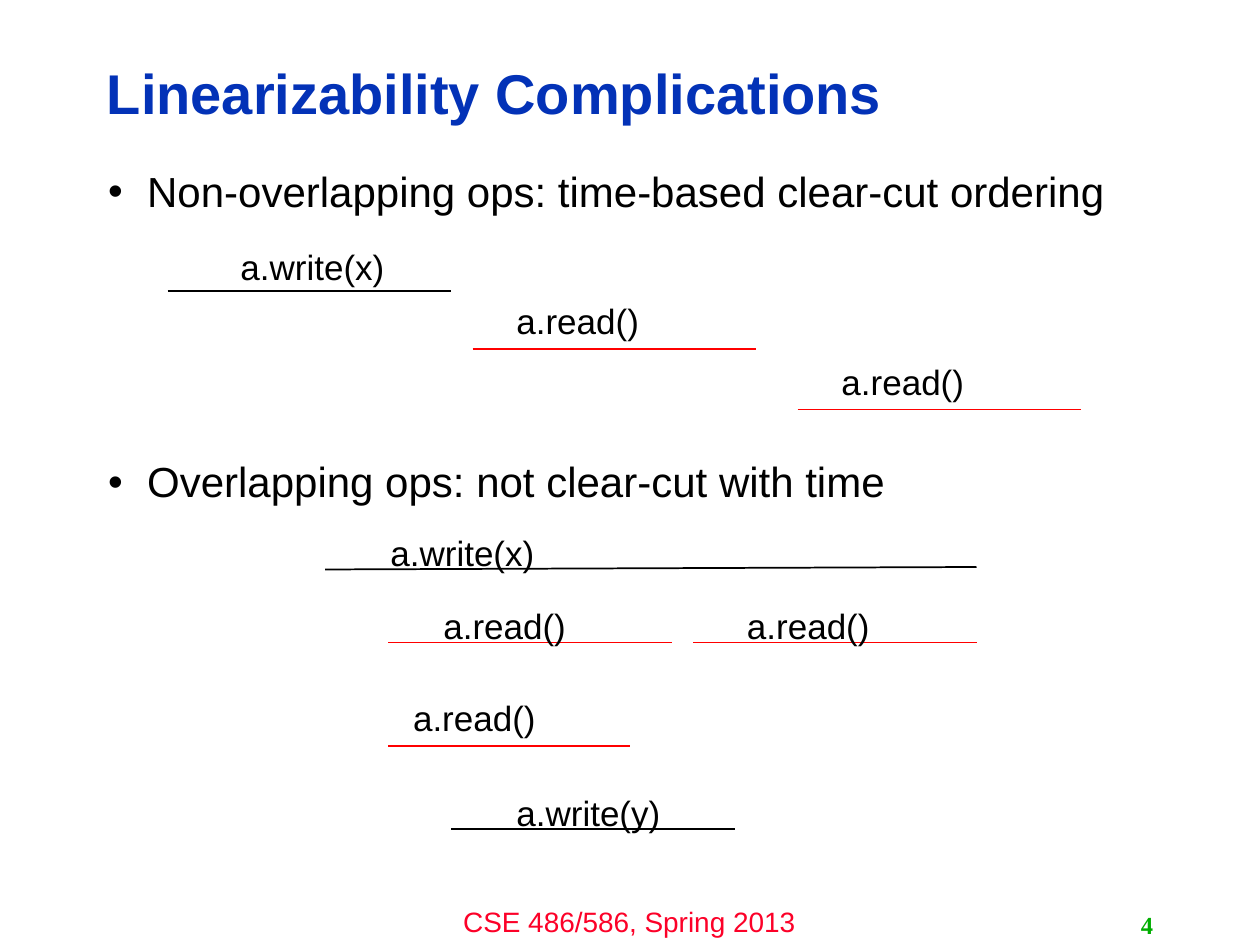
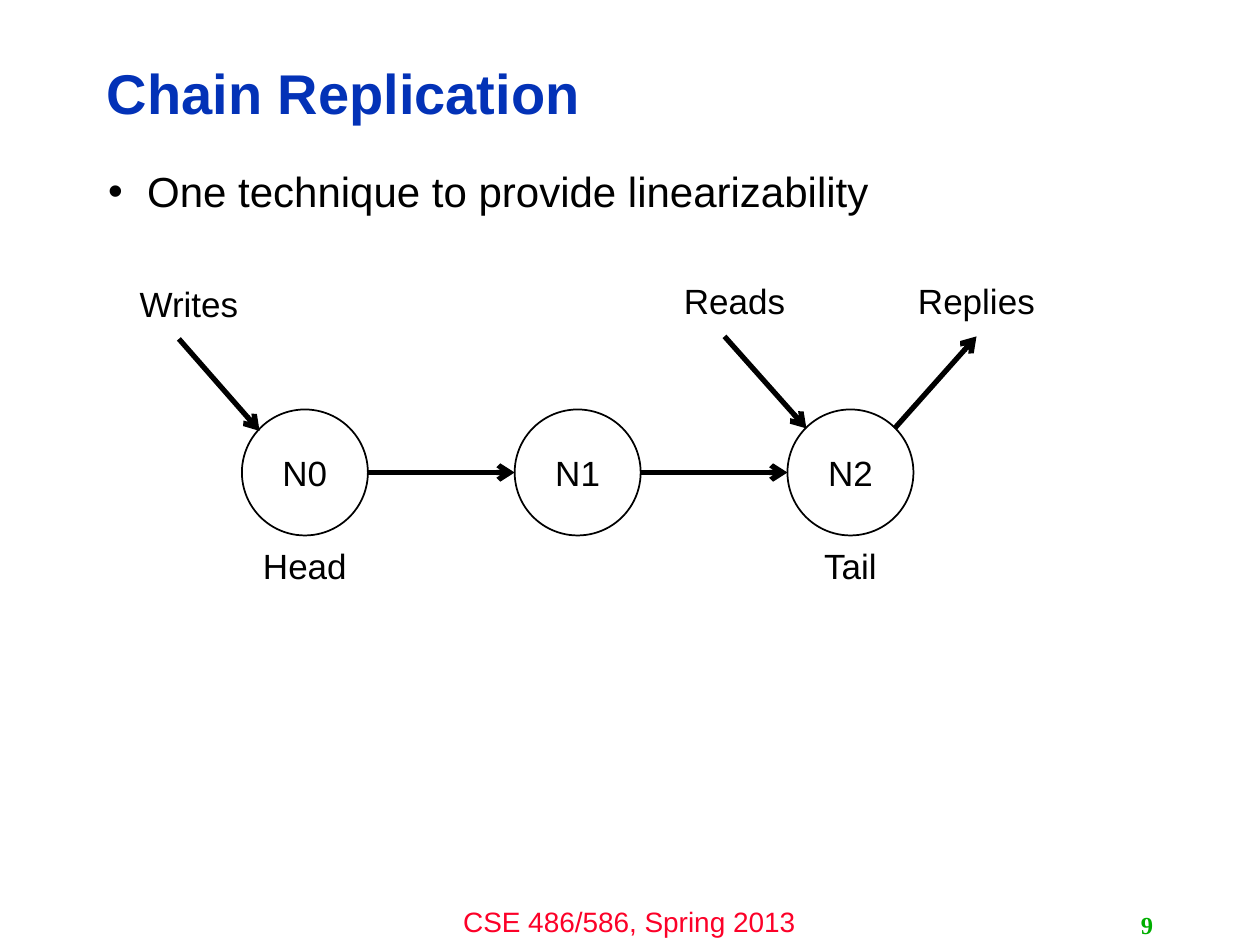
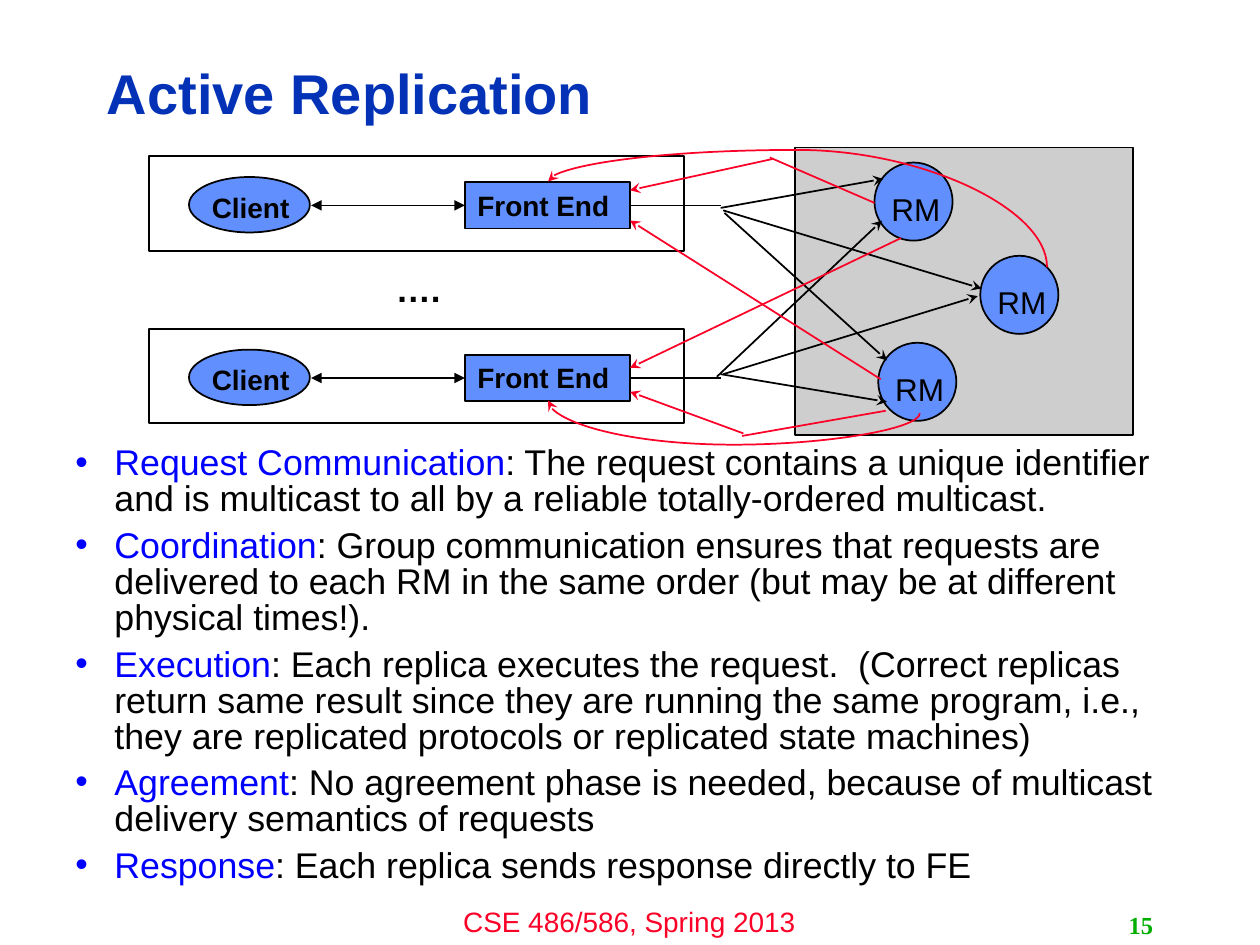
from lxml import etree
from pptx import Presentation
from pptx.dml.color import RGBColor
from pptx.enum.shapes import MSO_CONNECTOR, MSO_SHAPE
from pptx.enum.text import MSO_ANCHOR, PP_ALIGN
from pptx.oxml.ns import qn
from pptx.util import Inches, Pt

STRAIGHT, CURVE = MSO_CONNECTOR.STRAIGHT, MSO_CONNECTOR.CURVE
RECTANGLE, ELLIPSE = MSO_SHAPE.RECTANGLE, MSO_SHAPE.OVAL
LEFT, CENTER, RIGHT = PP_ALIGN.LEFT, PP_ALIGN.CENTER, PP_ALIGN.RIGHT
TOP, MIDDLE = MSO_ANCHOR.TOP, MSO_ANCHOR.MIDDLE
LEFT_SIDE, RIGHT_SIDE = 1, 3

COLORS = {
    "text": "000000", "title": "0332B7", "footer": "FC0128", "number": "00AE00",
    "term": "0000FF", "operation": "FF0000", "reply": "FC0128",
    "node": "FFFFFF", "replica": "618FFD", "group": "CECECE",
}

# The slide is a grid of 100 columns and 75 rows.
WIDTH, HEIGHT = Inches(10), Inches(7.5)
COLUMN, ROW = WIDTH / 100, HEIGHT / 75
INDENT = Inches(0.31)

TITLE = {"size": Pt(32), "bold": True}
BODY = {"size": Pt(24)}
DETAIL = {"size": Pt(20.4)}
LABEL = {"size": Pt(20)}
LABEL_BOLD = {"size": Pt(20), "bold": True}
REPLICA = {"size": Pt(18)}
FOOTER = {"size": Pt(16)}
PART = {"size": Pt(16), "bold": True}
NUMBER = {"size": Pt(14), "bold": True, "name": "Times New Roman"}


def color(name):
    return RGBColor.from_string(COLORS[name])


def place(left, top, width, height):
    """Turn grid columns and rows into slide lengths."""
    return [round(length) for length in
            (left * COLUMN, top * ROW, width * COLUMN, height * ROW)]


def add_run(paragraph, text, font, color_name="text"):
    run = paragraph.add_run()
    run.text = text
    for key, value in {"name": "Arial", **font}.items():
        setattr(run.font, key, value)
    run.font.color.rgb = color(color_name)


def write(shape, text, font, color_name="text", align=CENTER, anchor=TOP, wrap=True):
    frame = shape.text_frame
    frame.word_wrap, frame.vertical_anchor = wrap, anchor
    frame.paragraphs[0].alignment = align
    add_run(frame.paragraphs[0], text, font, color_name)


def add_text(slide, area, text, font, color_name="text", **layout):
    box = slide.shapes.add_textbox(*place(*area))
    write(box, text, font, color_name, **layout)
    return box


def add_bullets(slide, area, items, font, line_spacing, gaps):
    """Each item is a list of (text, colour name); each gap is the space before it."""
    frame = slide.shapes.add_textbox(*place(*area)).text_frame
    frame.word_wrap = True
    for index, (item, gap) in enumerate(zip(items, gaps)):
        paragraph = frame.add_paragraph() if index else frame.paragraphs[0]
        paragraph.line_spacing, paragraph.space_before = line_spacing, Pt(gap)
        for text, color_name in item:
            add_run(paragraph, text, font, color_name)
        properties = paragraph._p.get_or_add_pPr()
        properties.set("marL", str(INDENT))
        properties.set("indent", str(-INDENT))
        etree.SubElement(properties, qn("a:buFont")).set("typeface", "Arial")
        etree.SubElement(properties, qn("a:buChar")).set("char", "•")


def add_figure(slide, kind, area, fill=None):
    shape = slide.shapes.add_shape(kind, *place(*area))
    shape.shadow.inherit = False
    if fill:
        shape.fill.solid()
        shape.fill.fore_color.rgb = color(fill)
    else:
        shape.fill.background()
    shape.line.color.rgb = color("text")
    shape.line.width = Pt(1)
    return shape


def add_line(slide, start, end, color_name="text", width=1, head=None, tail=None,
             kind=STRAIGHT):
    connector = slide.shapes.add_connector(kind, *place(*start, *end))
    connector.line.color.rgb = color(color_name)
    connector.line.width = Pt(width)
    for tag, arrow in (("a:headEnd", head), ("a:tailEnd", tail)):
        if arrow:
            etree.SubElement(connector.line._get_or_add_ln(), qn(tag)).set("type", arrow)
    etree.SubElement(connector._element.spPr, qn("a:effectLst"))
    return connector


def add_reply_curve(slide, start, end, bend_row):
    """Curve from lower right to upper left that swings out to bend_row."""
    connector = add_line(slide, start, end, "reply", tail="stealth", kind=CURVE)
    across, rise = start[0] - end[0], start[1] - end[1]
    center_x, center_y = (start[0] + end[0]) / 2, (start[1] + end[1]) / 2
    area = place(center_x - rise / 2, center_y - across / 2, rise, across)
    for key, value in zip(("left", "top", "width", "height"), area):
        setattr(connector, key, value)
    properties = connector._element.spPr
    transform = properties.find(qn("a:xfrm"))
    transform.attrib.pop("flipH", None)
    transform.set("rot", str(270 * 60000))
    transform.set("flipV", "1")
    geometry = properties.find(qn("a:prstGeom"))
    adjustments = geometry.find(qn("a:avLst"))
    if adjustments is None:
        adjustments = etree.SubElement(geometry, qn("a:avLst"))
    guide = etree.SubElement(adjustments, qn("a:gd"))
    guide.set("name", "adj1")
    guide.set("fmla", f"val {round((start[1] - bend_row) / rise * 100000)}")


def add_slide(presentation, title, number):
    """Add a blank slide with the shared title, footer and slide number."""
    slide = presentation.slides.add_slide(presentation.slide_layouts[6])
    add_text(slide, (33.3, 71.3, 33.3, 3.7), "CSE 486/586, Spring 2013", FOOTER, "footer")
    heading = add_text(slide, (7.5, 3.6, 79.8, 8.1), title, TITLE, "title",
                       align=LEFT, anchor=MIDDLE)
    heading.text_frame.paragraphs[0].line_spacing = 0.9
    add_text(slide, (71.7, 71.8, 20.8, 3.2), str(number), NUMBER, "number",
             align=RIGHT, anchor=MIDDLE)
    return slide


def add_body(slide, items, gaps):
    add_bullets(slide, (7.6, 13.1, 84, 53.9), [[(item, "text")] for item in items],
                BODY, 0.9, gaps)


def build_linearizability(presentation):
    slide = add_slide(presentation, "Linearizability Complications", 4)
    add_body(slide, ["Non-overlapping ops: time-based clear-cut ordering",
                     "Overlapping ops: not clear-cut with time"], (8, 140))
    # name, line start, line end, label corner, line colour
    operations = [
        ("a.write(x)", (13.3, 23.1), (35.8, 23.1), (18.1, 19), "text"),
        ("a.read()", (37.5, 27.7), (60, 27.7), (40, 23.3), "operation"),
        ("a.read()", (63.3, 32.5), (85.8, 32.5), (65.8, 28.1), "operation"),
        ("a.write(x)", (25.8, 45.2), (77.5, 45), (30, 41.7), "text"),
        ("a.read()", (30.8, 51), (53.3, 51), (34.2, 47.5), "operation"),
        ("a.read()", (55, 51), (77.5, 51), (58.3, 47.5), "operation"),
        ("a.read()", (30.8, 59.2), (50, 59.2), (31.8, 54.8), "operation"),
        ("a.write(y)", (35.8, 65.8), (58.3, 65.8), (40, 62.3), "text"),
    ]
    for name, start, end, corner, color_name in operations:
        add_line(slide, start, end, color_name)
        label_width = 13.6 if "write" in name else 11.8
        add_text(slide, (*corner, label_width, 4.4), name, LABEL, align=LEFT, wrap=False)


def build_chain(presentation):
    slide = add_slide(presentation, "Chain Replication", 9)
    add_body(slide, ["One technique to provide linearizability"], (8,))
    diameter, first, step, top = 10, 19.2, 21.65, 32.5
    middle = top + diameter / 2
    for index in range(3):
        left = first + index * step
        node = add_figure(slide, ELLIPSE, (left, top, diameter, diameter), "node")
        write(node, f"N{index}", LABEL, anchor=MIDDLE)
        if index:
            add_line(slide, (left - step + diameter, middle), (left, middle),
                     width=3, tail="arrow")
    for start, end in [((14.2, 26.9), (20.6, 34.2)),
                       ((57.5, 26.7), (64, 34)),
                       ((71, 34), (77.5, 26.7))]:
        add_line(slide, start, end, width=3, tail="arrow")
    for text, left, label_top in [("Writes", 7.5, 21.9), ("Reads", 50.8, 21.7),
                                  ("Replies", 70, 21.7), ("Head", 16.7, 42.7),
                                  ("Tail", 60, 42.7)]:
        add_text(slide, (left, label_top, 15, 4.4), text, LABEL)


def add_client_row(slide, top):
    """Draw a client joined to its front end, and the front end's outgoing line."""
    middle = top + 3.9
    add_figure(slide, RECTANGLE, (11.8, top, 42.5, 7.5))
    add_figure(slide, ELLIPSE, (15, top + 1.65, 9.6, 4.4), "replica")
    add_text(slide, (15.1, top + 2.2, 9.6, 3.7), "Client", PART)
    front_end = add_figure(slide, RECTANGLE, (36.9, middle - 1.85, 13.1, 3.7), "replica")
    write(front_end, "Front End", PART, align=LEFT)
    exchange = add_line(slide, (24.7, middle), (36.9, middle),
                        head="triangle", tail="triangle")
    exchange.end_connect(front_end, LEFT_SIDE)
    trunk = add_line(slide, (50, middle), (57.2, middle))
    trunk.begin_connect(front_end, RIGHT_SIDE)


def build_active(presentation):
    slide = add_slide(presentation, "Active Replication", 15)
    phases = [
        ("Request Communication", ": The request contains a unique identifier and is "
         "multicast to all by a reliable totally-ordered multicast."),
        ("Coordination", ": Group communication ensures that requests are delivered to "
         "each RM in the same order (but may be at different physical times!)."),
        ("Execution", ": Each replica executes the request.  (Correct replicas return "
         "same result since they are running the same program, i.e., they are "
         "replicated protocols or replicated state machines)"),
        ("Agreement", ": No agreement phase is needed, because of multicast delivery "
         "semantics of requests"),
        ("Response", ": Each replica sends response directly to FE"),
    ]
    items = [[(term, "term"), (meaning, "text")] for term, meaning in phases]
    add_bullets(slide, (5, 35, 90, 35), items, DETAIL, 0.84, [6] * len(items))

    add_figure(slide, RECTANGLE, (63.1, 11.7, 26.8, 22.8), "group")
    for top in (12.4, 26.1):
        add_client_row(slide, top)
    add_text(slide, (26, 20.7, 14.4, 4.4), "….", LABEL_BOLD)
    for left, top in [(69.4, 12.9), (77.8, 20.3), (69.7, 27.2)]:
        add_figure(slide, ELLIPSE, (left, top, 6.2, 6.2), "replica")
        add_text(slide, (left - 0.4, top + 1.7, 7.4, 3.7), "RM", REPLICA)

    requests = [((57.2, 16.5), (70.1, 14.2)), ((57.4, 16.7), (77.9, 22.9)),
                ((57.5, 16.9), (70.4, 28.6)), ((56.9, 29.9), (70, 17.5)),
                ((57.2, 29.7), (70.4, 31.9)), ((57.4, 29.7), (77.6, 23.5))]
    for start, end in requests:
        add_line(slide, start, end, tail="stealth")
    for start, end in [((69.4, 16.1), (61.1, 12.5)), ((70.3, 32.6), (58.9, 34.6))]:
        add_line(slide, start, end, "reply")
    replies = [((61.4, 12.6), (50, 15.1)), ((69.9, 30.1), (50, 17.5)),
               ((59, 34.4), (50, 31.1)), ((71.5, 18.9), (50, 29.2))]
    for start, end in replies:
        add_line(slide, start, end, "reply", tail="stealth")
    add_reply_curve(slide, (83.1, 21.2), (43.5, 14.4), 11.9)
    add_reply_curve(slide, (73, 32.8), (43.5, 31.8), 35.3)


def main():
    presentation = Presentation()
    presentation.slide_width, presentation.slide_height = WIDTH, HEIGHT
    build_linearizability(presentation)
    build_chain(presentation)
    build_active(presentation)
    presentation.save("out.pptx")


if __name__ == "__main__":
    main()
